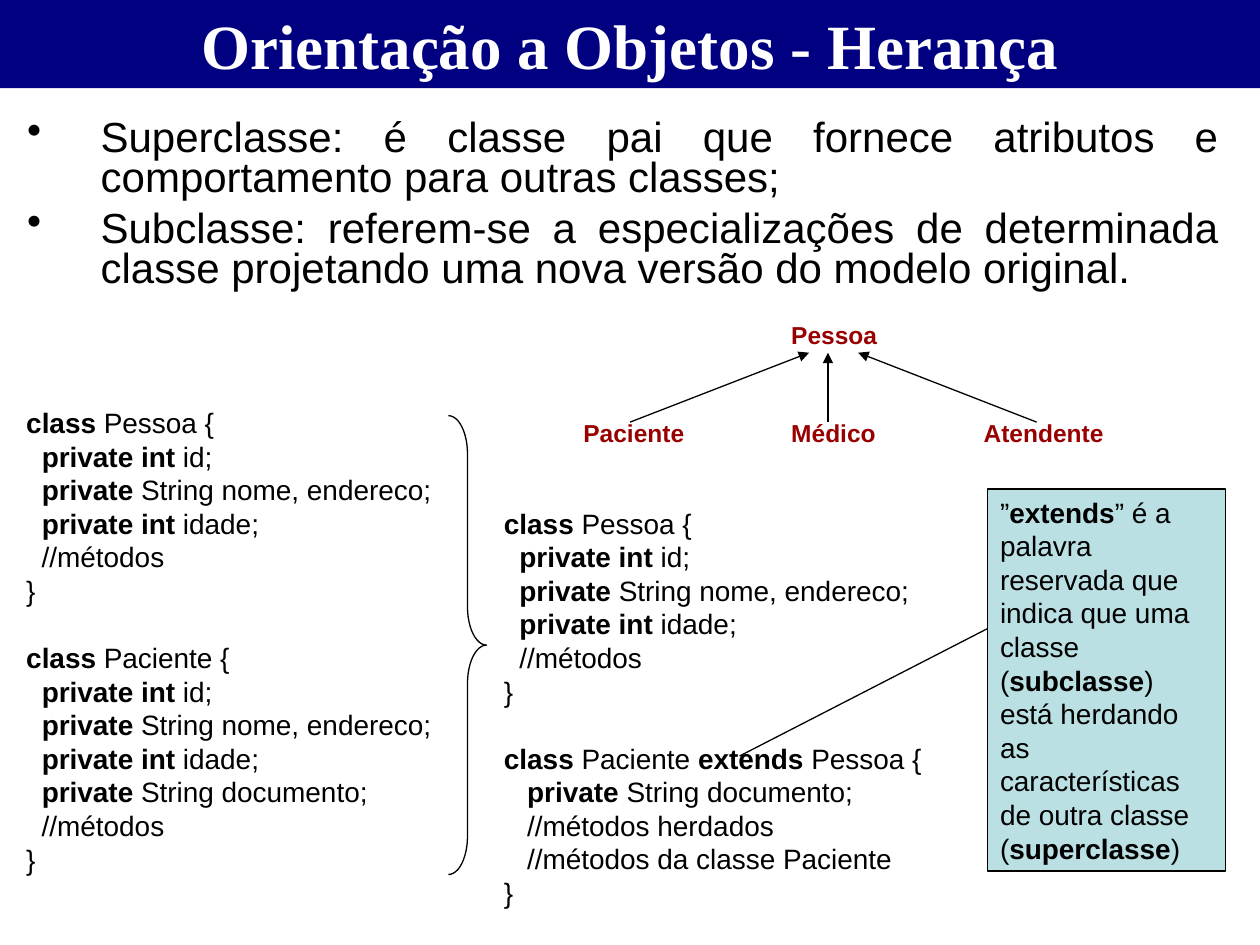
from lxml import etree
from pptx import Presentation
from pptx import util as u
from pptx.dml import color
from pptx.enum import shapes, text
from pptx.oxml import ns


def colour(code):
    return color.RGBColor.from_string(code)


def write(box, lines, size, ink="000000", font="Arial", bold=False,
          align=text.PP_ALIGN.LEFT, spacing=1.2, gap=0, bullet=False):
    frame = box.text_frame
    frame.auto_size = text.MSO_AUTO_SIZE.NONE
    frame.vertical_anchor = text.MSO_ANCHOR.TOP
    for index, line in enumerate(lines):
        para = frame.paragraphs[0] if index == 0 else frame.add_paragraph()
        para.alignment = align
        para.line_spacing = u.Pt(round(size * spacing, 1))
        if index and line.startswith("*"):
            para.space_before = u.Pt(gap)
        if bullet:
            properties = para._p.get_or_add_pPr()
            properties.set("marL", str(u.Cm(1.48)))
            properties.set("indent", str(-u.Cm(1.48)))
            etree.SubElement(properties, ns.qn("a:buChar")).set("char", "•")
        para.font.size = u.Pt(size)
        para.font.name = font
        para.font.color.rgb = colour(ink)
        para.font.bold = bold
        for part, words in enumerate(line.split("*")):
            if words:
                span = para.add_run()
                span.text = words
                if part % 2 and not bullet:
                    span.font.bold = True


deck = Presentation()
deck.slide_width, deck.slide_height = u.Cm(25.4), u.Cm(19.05)
page = deck.slides.add_slide(deck.slide_layouts[5])

title = page.shapes.title
title.left, title.top, title.width, title.height = u.Cm(0), u.Cm(0), u.Cm(25.4), u.Cm(1.78)
title.fill.solid()
title.fill.fore_color.rgb = colour("000080")
write(title, ["Orientação a Objetos - Herança"], 36, "FFFFFF", "Times New Roman",
      True, text.PP_ALIGN.CENTER)

definitions = page.shapes.add_textbox(u.Cm(0.3), u.Cm(2.31), u.Cm(24.51), u.Cm(4.19))
definitions.text_frame.word_wrap = True
write(definitions, [
    "*Superclasse: é classe pai que fornece atributos e comportamento para outras classes;",
    "*Subclasse: referem-se a especializações de determinada classe projetando uma nova "
    "versão do modelo original.",
], 24, align=text.PP_ALIGN.JUSTIFY, spacing=0.96, gap=6, bullet=True)

fields = [
    "  *private int* id;",
    "  *private* String nome, endereco;",
    "  *private int* idade;",
]
person = ["*class* Pessoa {", *fields, "  //métodos", "}"]
patient = ["*class* Paciente {", *fields, "  *private* String documento;", "  //métodos", "}"]
heir = [
    "*class* Paciente *extends* Pessoa {",
    "   *private* String documento;",
    "   //métodos herdados",
    "   //métodos da classe Paciente",
    "}",
]
for left, top, height, code in [
    (0.28, 8.05, 9.73, person + patient),
    (9.91, 10.08, 8.38, person + heir),
]:
    listing = page.shapes.add_textbox(u.Cm(left), u.Cm(top), u.Cm(9.3), u.Cm(height))
    listing.text_frame.word_wrap = True
    write(listing, code, 16, gap=19.2)

note = page.shapes.add_shape(shapes.MSO_SHAPE.RECTANGLE,
                             u.Cm(19.91), u.Cm(9.86), u.Cm(4.8), u.Cm(7.7))
note.shadow.inherit = False
note.fill.solid()
note.fill.fore_color.rgb = colour("BBE0E3")
note.line.color.rgb = colour("000000")
note.line.width = u.Pt(0.75)
note.text_frame.word_wrap = True
write(note, ["”*extends*” é a palavra reservada que indica que uma classe (*subclasse*) está "
             "herdando as características de outra classe (*superclasse*)"], 16)

for name, left, top, width in [
    ("Pessoa", 15.7, 6.32, 2.24),
    ("Paciente", 11.51, 8.31, 2.54),
    ("Médico", 15.7, 8.31, 2.21),
    ("Atendente", 19.58, 8.31, 2.92),
]:
    label = page.shapes.add_textbox(u.Cm(left), u.Cm(top), u.Cm(width), u.Cm(0.86))
    label.text_frame.word_wrap = False
    write(label, [name], 14, "990000", bold=True)

for start_x, start_y, end_x, end_y, arrow in [
    (14.91, 15.24, 19.91, 12.67, False),
    (12.7, 8.51, 16.31, 7.11, True),
    (16.69, 8.51, 16.69, 7.11, True),
    (20.9, 8.51, 17.3, 7.11, True),
]:
    link = page.shapes.add_connector(shapes.MSO_CONNECTOR.STRAIGHT, u.Cm(start_x),
                                     u.Cm(start_y), u.Cm(end_x), u.Cm(end_y))
    link.line.color.rgb = colour("000000")
    link.line.width = u.Pt(0.75)
    if arrow:
        etree.SubElement(link.line._get_or_add_ln(), ns.qn("a:tailEnd")).set("type", "triangle")
    etree.SubElement(link._element.spPr, ns.qn("a:effectLst"))

brace = page.shapes.add_shape(shapes.MSO_SHAPE.RIGHT_BRACE,
                              u.Cm(9.04), u.Cm(8.38), u.Cm(0.77), u.Cm(9.25))
brace.shadow.inherit = False
brace.adjustments[0] = 1
brace.fill.background()
brace.line.color.rgb = colour("000000")
brace.line.width = u.Pt(0.75)

deck.save("out.pptx")
